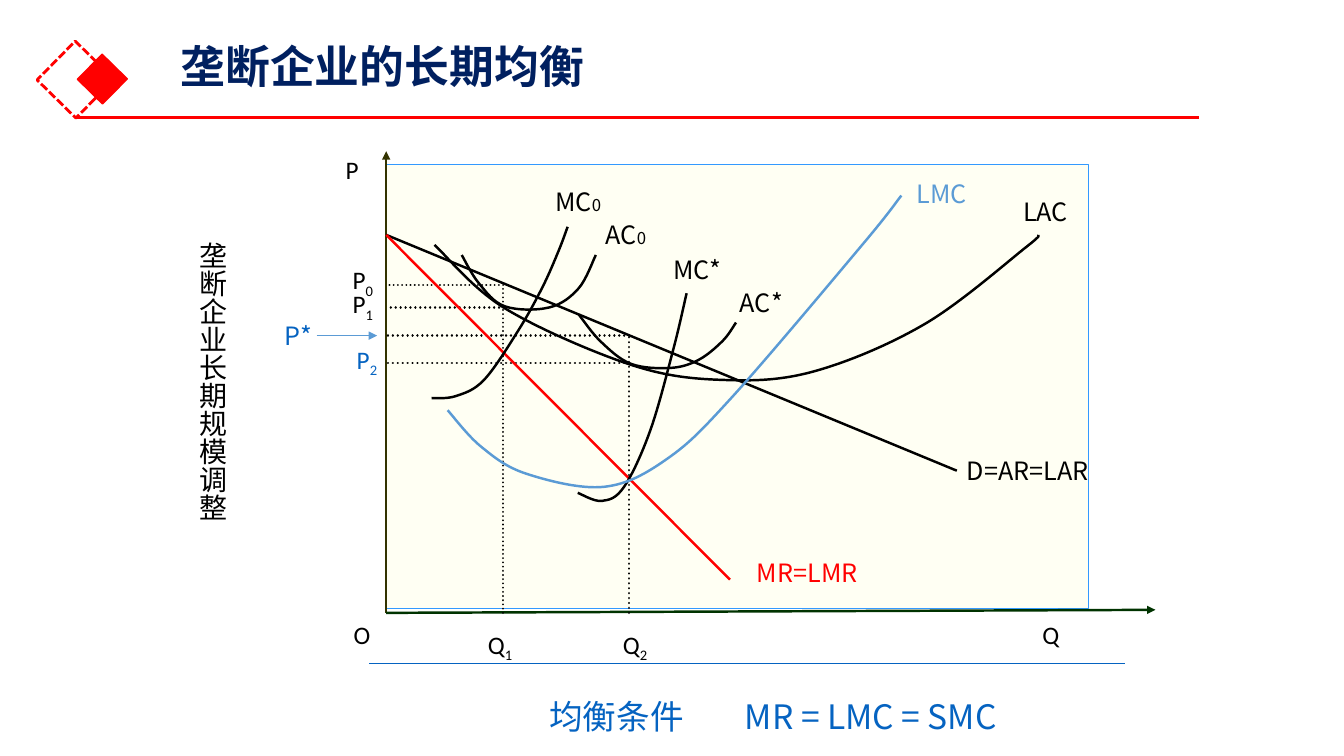
import dataclasses

import pptx
import pptx.dml.color
import pptx.enum.dml
import pptx.enum.shapes
import pptx.enum.text
import pptx.oxml
import pptx.oxml.ns
import pptx.util

PX = 9144  # EMU per px, 100 px to the inch
DASH = pptx.enum.dml.MSO_LINE
SHAPE = pptx.enum.shapes.MSO_SHAPE
qn = pptx.oxml.ns.qn


@dataclasses.dataclass(frozen=True)
class Theme:
    black: str = "000000"
    red: str = "FF0000"
    navy: str = "002060"
    blue: str = "0563C1"
    sky: str = "5B9BD5"
    frame: str = "3399FF"
    cream: str = "FFFFF3"
    price_axis: str = "333300"
    quantity_axis: str = "003300"
    latin: str = "Calibri"
    chinese: str = "Noto Sans CJK SC"
    formula: str = "Noto Sans CJK JP"
    title: int = 32
    condition: int = 24
    caption: int = 20
    label: int = 18
    small: int = 12
    curve: float = 1.75


THEME = Theme()


def rgb(value):
    return pptx.dml.color.RGBColor.from_string(value)


def place(box, left, top, width, height):
    """EMU rectangle of a part given relative to its region's box."""
    return [PX * n for n in (box[0] + left, box[1] + top, width, height)]


def apply(target, formats):
    for name, value in formats.items():
        setattr(target, name, value)


def style_line(line, color, width, dash=None):
    line.color.rgb = rgb(color)
    apply(line, {"width": pptx.util.Pt(width), "dash_style": dash})


def add_span(para, text, size, color, font, bold=False):
    span = para.add_run()
    span.text = text
    apply(span.font, {"size": pptx.util.Pt(size), "bold": bold, "name": font})
    span.font.color.rgb = rgb(color)
    east_asian = pptx.oxml.parse_xml(
        f'<a:ea {pptx.oxml.ns.nsdecls("a")} typeface="{font}"/>')
    span.font._element.append(east_asian)
    return span


def add_text(page, rect, text, size, color, font, wrap=False):
    shape = page.shapes.add_textbox(*rect)
    apply(shape.text_frame, {
        "word_wrap": wrap,
        "vertical_anchor": pptx.enum.text.MSO_ANCHOR.MIDDLE,
    })
    para = shape.text_frame.paragraphs[0]
    add_span(para, text, size, color, font)
    return shape, para


def add_rect(page, rect, fill, line, width, dash=None, rotation=0):
    shape = page.shapes.add_shape(SHAPE.RECTANGLE, *rect)
    apply(shape, {"rotation": rotation})
    shape.shadow.inherit = False
    if fill:
        shape.fill.solid()
        shape.fill.fore_color.rgb = rgb(fill)
    else:
        shape.fill.background()
    style_line(shape.line, line, width, dash)


def add_line(page, box, start, end, color, width, dash=None, arrow=False):
    ends = [PX * (box[i] + point[i]) for point in (start, end) for i in (0, 1)]
    line = page.shapes.add_connector(
        pptx.enum.shapes.MSO_CONNECTOR.STRAIGHT, *ends)
    style_line(line.line, color, width, dash)
    properties = line.element.spPr
    stroke = properties.find(qn("a:ln"))
    if dash:
        stroke.set("cap", "rnd")
    if arrow:
        stroke.append(pptx.oxml.parse_xml(
            f'<a:tailEnd {pptx.oxml.ns.nsdecls("a")} type="triangle"/>'))
    properties.append(pptx.oxml.parse_xml(
        f'<a:effectLst {pptx.oxml.ns.nsdecls("a")}/>'))


def add_curve(page, box, knots, color):
    """Smooth Catmull-Rom curve through the knots."""
    knots = [(PX * (box[0] + x), PX * (box[1] + y)) for x, y in knots]
    padded = [knots[0], *knots, knots[-1]]
    points = []
    for before, start, end, after in zip(padded, padded[1:], padded[2:], padded[3:]):
        points += [
            tuple(s + (e - b) / 6 for b, s, e in zip(before, start, end)),
            tuple(e - (a - s) / 6 for s, e, a in zip(start, end, after)),
            end,
        ]
    builder = page.shapes.build_freeform(*knots[0], scale=1.0)
    builder.add_line_segments(points, close=False)
    shape = builder.convert_to_shape()
    # Turn each three straight segments into one cubic segment
    segments = list(shape.element.iter(qn("a:lnTo")))
    for first in range(0, len(segments), 3):
        cubic = pptx.oxml.parse_xml(
            f'<a:cubicBezTo {pptx.oxml.ns.nsdecls("a")}/>')
        segments[first].addprevious(cubic)
        for segment in segments[first:first + 3]:
            cubic.append(segment[0])
            segment.getparent().remove(segment)
    shape.shadow.inherit = False
    shape.fill.background()
    style_line(shape.line, color, THEME.curve)


def header(page, box):
    # Diamonds and rule
    add_rect(page, place(box, 0, 11, 54, 54), None, THEME.red, 2,
             DASH.SQUARE_DOT, 314.5)
    add_rect(page, place(box, 36, 20, 35, 35), THEME.red, THEME.red, 1,
             rotation=314.5)
    add_line(page, box, (27, 76), (1141, 76), THEME.red, 2.25)
    # Title
    title = page.shapes.title
    rect = place(box, 121, -20, 1150, 95)
    apply(title, dict(zip(("left", "top", "width", "height"), rect)))
    apply(title.text_frame, {
        "word_wrap": True,
        "auto_size": pptx.enum.text.MSO_AUTO_SIZE.NONE,
        "vertical_anchor": pptx.enum.text.MSO_ANCHOR.MIDDLE,
    })
    para = title.text_frame.paragraphs[0]
    apply(para, {"alignment": pptx.enum.text.PP_ALIGN.LEFT, "line_spacing": 0.9})
    add_span(para, "垄断企业的长期均衡", THEME.title, THEME.navy, THEME.chinese, True)


def side_caption(page, box):
    shape, para = add_text(page, place(box, 0, 0, *box[2:]), "垄断企业长期规模调整",
                           THEME.caption, THEME.black, THEME.chinese, True)
    shape.text_frame.vertical_anchor = pptx.enum.text.MSO_ANCHOR.TOP
    shape.text_frame._txBody.bodyPr.set("vert", "eaVert")


def diagram(page, box):
    black, red, blue, sky = THEME.black, THEME.red, THEME.blue, THEME.sky
    add_rect(page, place(box, 0, 0, *box[2:]), THEME.cream, THEME.frame, 0.75)
    # Axes
    add_line(page, box, (0, 445), (0, -13), THEME.price_axis, THEME.curve, arrow=True)
    add_line(page, box, (0, 445), (763, 442), THEME.quantity_axis, THEME.curve,
             arrow=True)
    # Dotted guides
    for start, end, width in (
        ((116, 445), (116, 120), 1.5), ((116, 120), (0, 120), 1.5),
        ((241, 445), (241, 170), 1.75), ((241, 170), (0, 170), 1.75),
        ((112, 142), (0, 142), 1.75), ((241, 197), (0, 197), 1.75),
    ):
        add_line(page, box, start, end, black, width, DASH.ROUND_DOT)
    # Demand and marginal revenue
    add_line(page, box, (0, 70), (566, 304), black, THEME.curve)
    add_line(page, box, (0, 70), (341, 412), red, THEME.curve)
    # Cost curves: AC0, MC0, AC*, MC*, LAC, LMC
    for color, knots in (
        (black, ((75, 90), (92, 118), (118, 141), (162, 142), (191, 123), (208, 90))),
        (black, ((45, 232), (69, 230), (97, 214), (131, 165), (155, 122), (171, 86),
                 (180, 62))),
        (black, ((191, 149), (213, 176), (243, 198), (282, 202), (310, 194),
                 (334, 175), (347, 157))),
        (black, ((190, 326), (214, 334), (236, 320), (262, 264), (285, 183),
                 (298, 128))),
        (black, ((48, 80), (118, 143), (243, 199), (336, 214), (426, 205), (535, 158),
                 (635, 82), (647, 70))),
        (sky, ((61, 244), (94, 280), (139, 307), (216, 320), (279, 292), (344, 230),
               (473, 79), (511, 31))),
    ):
        add_curve(page, box, knots, color)
    # Curve labels, with a small suffix where there is one
    for text, suffix, color, rect in (
        ("AC", "0", black, (208, 45, 75, 50)), ("MC", "0", black, (158, 12, 75, 50)),
        ("AC*", "", black, (341, 112, 67, 50)), ("MC*", "", black, (275, 79, 75, 50)),
        ("LAC", "", black, (622, 22, 75, 50)), ("LMC", "", sky, (516, 4, 75, 50)),
        ("D=AR=LAR", "", black, (566, 287, 150, 33)),
        ("MR=LMR", "", red, (358, 387, 130, 35)), ("P*", "", blue, (-111, 153, 55, 33)),
    ):
        shape, para = add_text(page, place(box, *rect), text, THEME.label, color,
                               THEME.chinese)
        if suffix:
            add_span(para, suffix, THEME.small, color, THEME.chinese)
    # Axis labels, with a subscript where there is one
    for text, index, color, rect in (
        ("P", "", black, (-50, -16, 33, 42)), ("Q", "", black, (641, 445, 33, 42)),
        ("O", "", black, (-42, 445, 33, 42)), ("Q", "1", black, (91, 462, 50, 33)),
        ("Q", "2", black, (225, 462, 50, 33)), ("P", "0", black, (-43, 97, 50, 39)),
        ("P", "1", black, (-43, 124, 50, 33)), ("P", "2", blue, (-39, 179, 50, 33)),
    ):
        shape, para = add_text(page, place(box, *rect), text, THEME.label, color,
                               THEME.latin)
        if index:
            span = add_span(para, index, THEME.label, color, THEME.latin)
            span.font._element.set("baseline", "-25000")
    add_line(page, box, (-69, 170), (-9, 170), sky, 0.5, arrow=True)


def condition(page, box):
    add_line(page, box, (0, 0), (750, 0), THEME.blue, 0.5)
    shape, para = add_text(page, place(box, 169, 27, 525, 50),
                           "均衡条件\tMR = LMC = SMC", THEME.condition, THEME.blue,
                           THEME.formula, True)
    para._p.get_or_add_pPr().append(pptx.oxml.parse_xml(
        f'<a:tabLst {pptx.oxml.ns.nsdecls("a")}>'
        f'<a:tab pos="{194 * PX}" algn="l"/></a:tabLst>'))


def main():
    deck = pptx.Presentation()
    apply(deck, {"slide_width": 1333 * PX, "slide_height": 750 * PX})
    page = deck.slides.add_slide(deck.slide_layouts[5])
    header(page, (48, 41, 1271, 76))
    diagram(page, (383, 163, 697, 441))
    condition(page, (366, 658, 750, 77))
    side_caption(page, (178, 230, 54, 392))
    deck.save("out.pptx")


if __name__ == "__main__":
    main()
